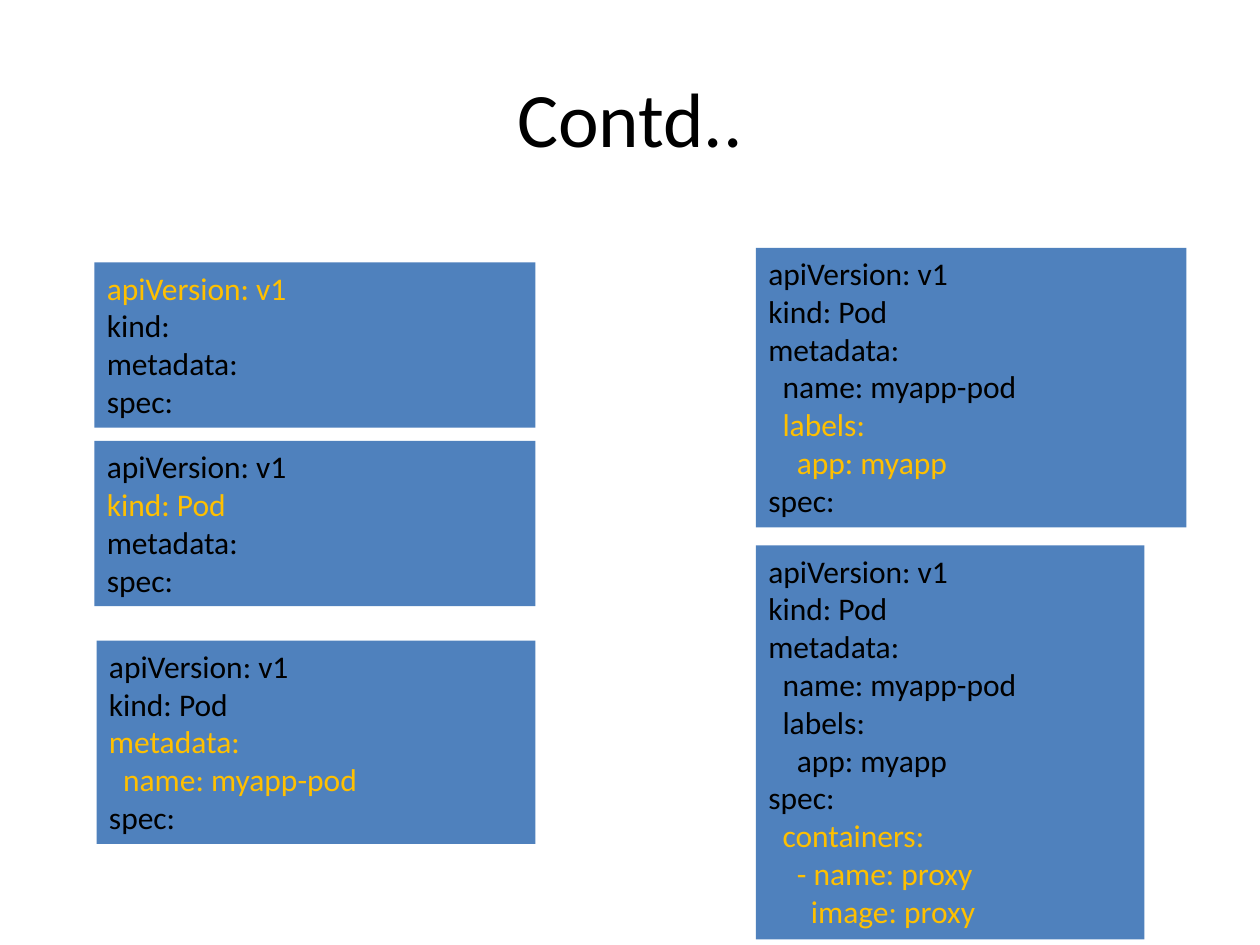
from dataclasses import dataclass

from pptx import Presentation
from pptx.dml.color import RGBColor
from pptx.enum.shapes import MSO_SHAPE as Shape
from pptx.enum.text import MSO_ANCHOR as Anchor, MSO_AUTO_SIZE as AutoSize, PP_ALIGN as Align
from pptx.util import Pt


@dataclass(frozen=True)
class Theme:
    font: str = "Calibri"
    title_size: float = 44
    code_size: float = 18
    line_height: float = 21.8
    padding: float = 3.6
    text: RGBColor = RGBColor(0x00, 0x00, 0x00)
    highlight: RGBColor = RGBColor(0xFF, 0xC0, 0x00)
    panel: RGBColor = RGBColor(0x4F, 0x81, 0xBD)


theme = Theme()


def format_paragraph(paragraph, size, color, alignment):
    paragraph.alignment = alignment
    paragraph.font.name = theme.font
    paragraph.font.size = Pt(size)
    paragraph.font.color.rgb = color


presentation = Presentation()
presentation.slide_width, presentation.slide_height = Pt(720), Pt(540)
slide = presentation.slides.add_slide(presentation.slide_layouts[5])

title = slide.shapes.title
title.left, title.top, title.width, title.height = Pt(36), Pt(21.6), Pt(648), Pt(90)
title.text_frame.text = "Contd.."
title.text_frame.vertical_anchor = Anchor.MIDDLE
format_paragraph(title.text_frame.paragraphs[0], theme.title_size, theme.text, Align.CENTER)

# The manifest grows from panel to panel; its leading spaces are YAML syntax.
header = ["apiVersion: v1", "kind: Pod", "metadata:"]
name = "  name: myapp-pod"
labels = ["  labels:", "    app: myapp"]
containers = ["  containers:", "    - name: proxy", "      image: proxy"]

# left, top, width, lines, highlighted lines
panels = [
    (54, 150, 252, ["apiVersion: v1", "kind:", "metadata:", "spec:"], ["apiVersion: v1"]),
    (54, 252, 252, [*header, "spec:"], ["kind: Pod"]),
    (55.2, 366, 250.8, [*header, name, "spec:"], ["metadata:", name]),
    (432, 141.6, 246, [*header, name, *labels, "spec:"], labels),
    (432, 311.6, 222, [*header, name, *labels, "spec:", *containers], containers),
]

for left, top, width, lines, highlighted in panels:
    height = len(lines) * theme.line_height + 2 * theme.padding
    panel = slide.shapes.add_shape(Shape.RECTANGLE, Pt(left), Pt(top), Pt(width), Pt(height))
    panel.shadow.inherit = False
    panel.fill.solid()
    panel.fill.fore_color.rgb = theme.panel
    panel.line.fill.background()

    frame = panel.text_frame
    frame.word_wrap = True
    frame.auto_size = AutoSize.SHAPE_TO_FIT_TEXT
    frame.vertical_anchor = Anchor.TOP
    frame.text = "\n".join(lines)
    for paragraph in frame.paragraphs:
        color = theme.highlight if paragraph.text in highlighted else theme.text
        format_paragraph(paragraph, theme.code_size, color, Align.LEFT)

presentation.save("out.pptx")
